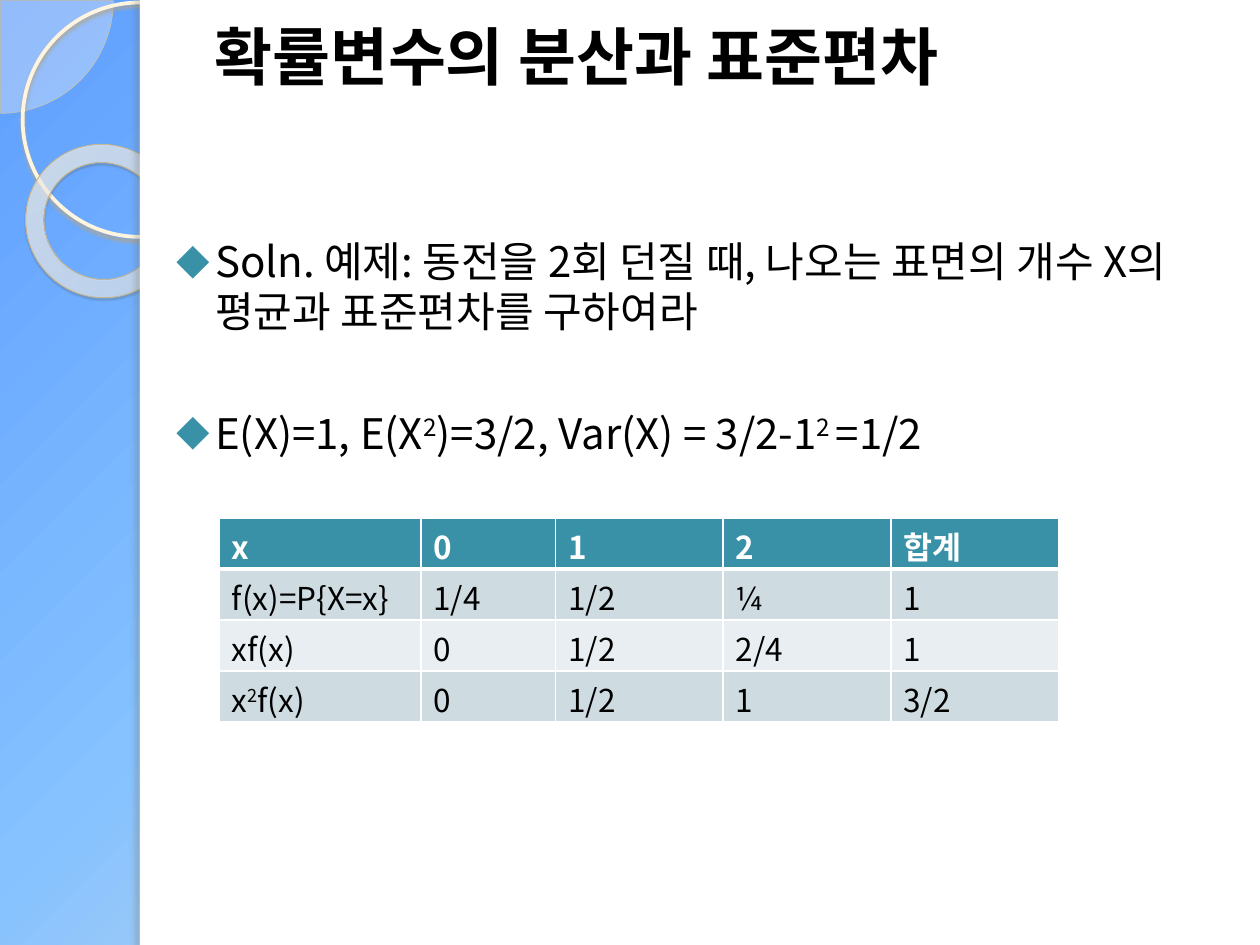
from lxml import etree
from pptx import Presentation, util as u
from pptx.dml.color import RGBColor
from pptx.enum import shapes, text
from pptx.oxml import ns

SANS, SERIF = "Noto Sans CJK KR", "Times New Roman"
TEAL, WHITE, BLACK = "3891A7", "FFFFFF", "000000"

# Content: text between bars is superscript
TITLE = "확률변수의 분산과 표준편차"
POINTS = [
    "Soln. 예제: 동전을 2회 던질 때, 나오는 표면의 개수 X의 평균과 표준편차를 구하여라",
    "E(X)=1, E(X|2|)=3/2, Var(X) = 3/2-1|2 |=1/2",
]
ROWS = [
    ["x", "0", "1", "2", "합계"],
    ["f(x)=P{X=x}", "1/4", "1/2", "¼", "1"],
    ["xf(x)", "0", "1/2", "2/4", "1"],
    ["x|2|f(x)", "0", "1/2", "1", "3/2"],
]
COLUMN_WIDTHS = [1.6, 1.07, 1.33, 1.33, 1.33]
ROW_FILLS = [TEAL, "CEDCE1", "E8EEF1", "CEDCE1"]
ROW_HEIGHT = 0.405

# Gradient stops: position, colour, opacity
SKY = [(0, "5E9EFF", 100), (40, "85C2FF", 100), (70, "C4D6EB", 100), (100, "FFEBFA", 100)]
CREAM = [(0, "FFFCF6", 70), (70, "FFFEFB", 55), (100, "F0D28E", 60)]


def rgb(value):
    return RGBColor.from_string(value)


def add_xml(parent, tag, **attributes):
    return etree.SubElement(parent, ns.qn(tag), {k: str(v) for k, v in attributes.items()})


def add_colour(parent, value, opacity=100):
    colour = add_xml(parent, "a:srgbClr", val=value)
    if opacity < 100:
        add_xml(colour, "a:alpha", val=opacity * 1000)


def set_gradient(owner, fill, stops, angle=None, focus=None):
    fill.gradient()
    gradient = next(owner.iter(ns.qn("a:gradFill")))
    for child in list(gradient):
        gradient.remove(child)
    stop_list = add_xml(gradient, "a:gsLst")
    for position, value, opacity in stops:
        add_colour(add_xml(stop_list, "a:gs", pos=position * 1000), value, opacity)
    if focus:
        path = add_xml(gradient, "a:path", path="circle")
        add_xml(path, "a:fillToRect", **{k: v * 1000 for k, v in zip("ltrb", focus)})
    else:
        add_xml(gradient, "a:lin", ang=angle * 60000, scaled=0)


def add_shape(slide, kind, box, fill=None, opacity=100, line=None, shadow=None):
    shape = slide.shapes.add_shape(kind, *map(u.Inches, box))
    shape.shadow.inherit = False
    if fill:
        shape.fill.solid()
        shape.fill.fore_color.rgb = rgb(fill)
        if opacity < 100:
            add_xml(next(shape._element.spPr.iter(ns.qn("a:srgbClr"))), "a:alpha", val=opacity * 1000)
    else:
        shape.fill.background()
    if line:
        shape.line.color.rgb = rgb(line[0])
        shape.line.width = u.Pt(line[1])
    else:
        shape.line.fill.background()
    if shadow:
        value, strength, blur, distance, angle = shadow
        effects = shape._element.spPr.find(ns.qn("a:effectLst"))
        outer = add_xml(effects, "a:outerShdw", blurRad=u.Pt(blur), dist=u.Pt(distance),
                        dir=angle * 60000, algn="tl", rotWithShape=0)
        add_colour(outer, value, strength)
    return shape


def write(para, content, size, colour=BLACK, bold=False, latin=SANS):
    for index, part in enumerate(content.split("|")):
        span = para.add_run()
        span.text = part
        span.font.size = u.Pt(size)
        span.font.bold = bold
        span.font.color.rgb = rgb(colour)
        span.font.name = latin
        properties = span._r.get_or_add_rPr()
        add_xml(properties, "a:ea", typeface=SANS)
        if index % 2:
            properties.set("baseline", "30000")


def add_text_box(slide, box, left, top):
    frame = slide.shapes.add_textbox(*map(u.Inches, box)).text_frame
    frame.word_wrap = True
    frame.vertical_anchor = text.MSO_ANCHOR.TOP
    frame.margin_left, frame.margin_top = u.Inches(left), u.Inches(top)
    return frame


def add_bullet(para):
    properties = para._p.get_or_add_pPr()
    properties.set("marL", str(u.Inches(0.4)))
    properties.set("indent", str(u.Inches(-0.31)))
    add_colour(add_xml(properties, "a:buClr"), TEAL)
    add_xml(properties, "a:buSzPct", val=80000)
    add_xml(properties, "a:buFont", typeface=SANS)
    add_xml(properties, "a:buChar", char="◆")


def style_cell(cell, fill, bottom):
    properties = cell._tc.get_or_add_tcPr()
    for side, width in (("L", 1), ("R", 1), ("T", 1), ("B", bottom)):
        border = add_xml(properties, f"a:ln{side}", w=u.Pt(width))
        add_colour(add_xml(border, "a:solidFill"), WHITE)
    cell.fill.solid()
    cell.fill.fore_color.rgb = rgb(fill)
    cell.margin_top, cell.margin_bottom = u.Inches(0.04), 0


def add_decoration(slide):
    kinds = shapes.MSO_SHAPE
    set_gradient(slide._element, slide.background.fill, SKY, angle=45)
    pie = add_shape(slide, kinds.PIE, (-0.89, -0.89, 1.79, 1.79), "FEFAF4", 33, ("D3C39F", 0.25))
    pie.adjustments[0], pie.adjustments[1] = 0, 54
    add_shape(slide, kinds.OVAL, (0.18, 0.02, 1.86, 1.86), line=("FFF5DE", 2.15),
              shadow=("B0A68F", 85, 2, 2, 90))
    ring = add_shape(slide, kinds.DONUT, (0.2, 1.15, 1.23, 1.21), line=("C7B893", 0.58),
                     shadow=("5A5444", 35, 1, 1.2, 75))
    ring.adjustments[0] = 0.12
    ring.rotation = 38.6
    set_gradient(ring._element, ring.fill, CREAM, focus=(-408, -50, 508, 150))
    # White page area and its shaded left edge
    add_shape(slide, kinds.RECTANGLE, (1.11, 0, 8.89, 7.5), WHITE)
    add_shape(slide, kinds.RECTANGLE, (1.11, 0, 0.08, 7.5), WHITE, shadow=("736F63", 25, 3, 3, 180))


def add_table(slide):
    frame = slide.shapes.add_table(len(ROWS), len(COLUMN_WIDTHS), *map(
        u.Inches, (1.74, 4.11, sum(COLUMN_WIDTHS), ROW_HEIGHT * len(ROWS))))
    table = frame.table
    for column, width in zip(table.columns, COLUMN_WIDTHS):
        column.width = u.Inches(width)
    for r, (row, fill) in enumerate(zip(ROWS, ROW_FILLS)):
        table.rows[r].height = u.Inches(ROW_HEIGHT)
        header = r == 0
        for c, content in enumerate(row):
            cell = table.cell(r, c)
            style_cell(cell, fill, 3 if header else 1)
            write(cell.text_frame.paragraphs[0], content, 18, WHITE if header else BLACK, header)


def main():
    deck = Presentation()
    deck.slide_width, deck.slide_height = u.Inches(10), u.Inches(7.5)
    slide = deck.slides.add_slide(deck.slide_layouts[6])
    add_decoration(slide)

    # Bulleted example and solution
    body = add_text_box(slide, (1.21, 1.31, 8.36, 5), 0.1, 0.56)
    for index, content in enumerate(POINTS):
        para = body.add_paragraph() if index else body.paragraphs[0]
        add_bullet(para)
        para.line_spacing = u.Pt(28.6)
        if index:
            para.space_before = u.Pt(41)
        write(para, content, 24)

    # Title
    heading = add_text_box(slide, (0.33, 0.05, 7.67, 0.7), 1.37, 0.05).paragraphs[0]
    heading.line_spacing = u.Pt(46)
    write(heading, TITLE, 36, bold=True, latin=SERIF)

    add_table(slide)
    deck.save("out.pptx")


if __name__ == "__main__":
    main()
